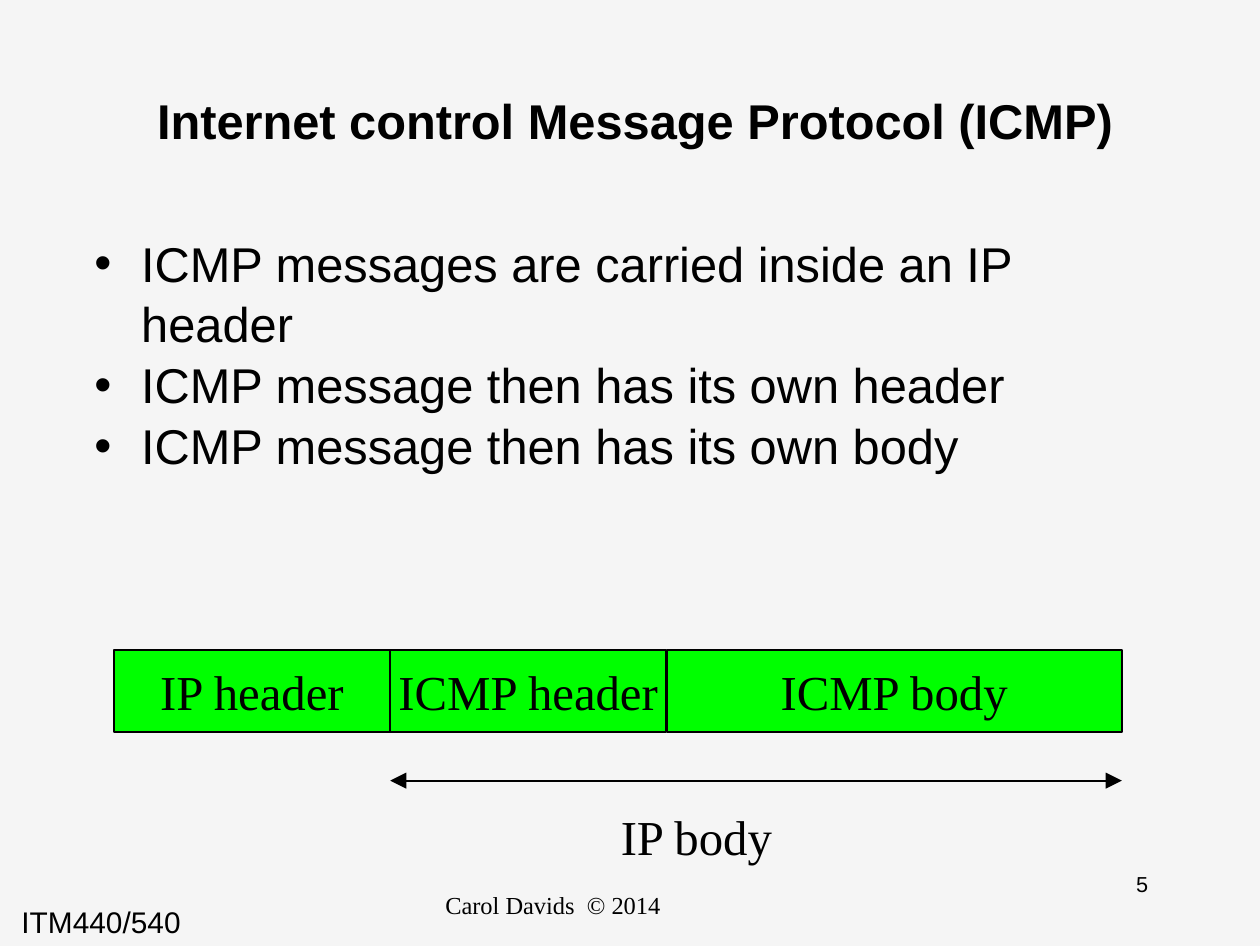
from dataclasses import dataclass

from lxml.etree import SubElement
from pptx import Presentation
from pptx.dml.color import RGBColor
from pptx.enum.shapes import MSO_CONNECTOR, MSO_SHAPE
from pptx.enum.text import MSO_ANCHOR, MSO_AUTO_SIZE, PP_ALIGN
from pptx.oxml.ns import qn
from pptx.util import Pt


@dataclass(frozen=True)
class Theme:
    background: RGBColor = RGBColor(0xF5, 0xF5, 0xF5)
    ink: RGBColor = RGBColor(0, 0, 0)
    field: RGBColor = RGBColor(0, 0xFF, 0)
    sans: str = "Arial"
    serif: str = "Times New Roman"
    main_size: float = 18
    course_size: float = 11
    credit_size: float = 9
    number_size: float = 8
    line_width: float = 0.75
    bullet_indent: float = 17.3


class SlideBuilder:
    def __init__(self, presentation, theme):
        self.theme = theme
        self.slide = presentation.slides.add_slide(presentation.slide_layouts[1])
        fill = self.slide.background.fill
        fill.solid()
        fill.fore_color.rgb = theme.background

    def place(self, shape, left, top, width, height):
        shape.left, shape.top = Pt(left), Pt(top)
        shape.width, shape.height = Pt(width), Pt(height)

    def set_text(self, shape, lines, size, font, align=PP_ALIGN.LEFT, bold=False,
                 anchor=MSO_ANCHOR.TOP, wrap=True, margins=(4.3, 2.2)):
        frame = shape.text_frame
        frame.text = "\n".join(lines)
        frame.word_wrap = wrap
        frame.auto_size = MSO_AUTO_SIZE.NONE
        frame.vertical_anchor = anchor
        frame.margin_left = frame.margin_right = Pt(margins[0])
        frame.margin_top = frame.margin_bottom = Pt(margins[1])
        for paragraph in frame.paragraphs:
            paragraph.alignment = align
            paragraph.space_before = Pt(0)
            paragraph.font.name = font
            paragraph.font.size = Pt(size)
            paragraph.font.bold = bold
            paragraph.font.color.rgb = self.theme.ink

    def title(self, text, *box):
        shape = self.slide.shapes.title
        self.place(shape, *box)
        self.set_text(shape, [text], self.theme.main_size, self.theme.sans,
                      PP_ALIGN.CENTER, bold=True, anchor=MSO_ANCHOR.MIDDLE)

    def bullets(self, lines, *box):
        shape = self.slide.placeholders[1]
        self.place(shape, *box)
        self.set_text(shape, lines, self.theme.main_size, self.theme.sans)
        indent = Pt(self.theme.bullet_indent)
        for paragraph in shape.text_frame.paragraphs:
            paragraph.line_spacing = 1.04
            properties = paragraph._p.get_or_add_pPr()
            properties.set("marL", str(indent))
            properties.set("indent", str(-indent))
            SubElement(properties, qn("a:buChar")).set("char", "•")

    def label(self, text, box, size, font, **style):
        shape = self.slide.shapes.add_textbox(*map(Pt, box))
        self.set_text(shape, [text], size, font, **style)

    def packet_field(self, text, *box):
        shape = self.slide.shapes.add_shape(MSO_SHAPE.RECTANGLE, *map(Pt, box))
        shape.shadow.inherit = False
        shape.fill.solid()
        shape.fill.fore_color.rgb = self.theme.field
        shape.line.color.rgb = self.theme.ink
        shape.line.width = Pt(self.theme.line_width)
        self.set_text(shape, [text], self.theme.main_size, self.theme.serif,
                      PP_ALIGN.CENTER, anchor=MSO_ANCHOR.MIDDLE, wrap=False,
                      margins=(7.2, 3.6))

    def double_arrow(self, *ends):
        connector = self.slide.shapes.add_connector(
            MSO_CONNECTOR.STRAIGHT, *map(Pt, ends))
        connector.line.color.rgb = self.theme.ink
        connector.line.width = Pt(self.theme.line_width)
        line = connector.line._get_or_add_ln()
        for end in ("a:headEnd", "a:tailEnd"):
            SubElement(line, qn(end)).set("type", "triangle")
        SubElement(connector._element.spPr, qn("a:effectLst"))


def main():
    theme = Theme()
    presentation = Presentation()
    presentation.slide_width, presentation.slide_height = Pt(465), Pt(349)
    builder = SlideBuilder(presentation, theme)

    builder.title("Internet control Message Protocol (ICMP)", 37, 15, 395, 58.5)
    builder.bullets([
        "ICMP messages are carried inside an IP header",
        "ICMP message then has its own header",
        "ICMP message then has its own body",
    ], 30.5, 83, 404, 108)

    packet_left, packet_top, packet_height = 42, 240, 30
    fields = [("IP header", 102), ("ICMP header", 102), ("ICMP body", 168)]
    left = packet_left
    for text, width in fields:
        builder.packet_field(text, left, packet_top, width, packet_height)
        left += width

    body_left = packet_left + fields[0][1]
    builder.double_arrow(body_left, 288, left, 288)
    builder.label("IP body", (222, 294, 70, 29), theme.main_size, theme.serif,
                  wrap=False, margins=(7.2, 3.6))

    builder.label("ITM440/540", (0, 330, 151, 21), theme.course_size,
                  theme.sans, margins=(7.9, 3.6))
    builder.label("Carol Davids  © 2014", (122.5, 326, 163, 23),
                  theme.credit_size, theme.serif, align=PP_ALIGN.CENTER)
    builder.label("5", (385, 319, 73, 23), theme.number_size, theme.sans,
                  align=PP_ALIGN.CENTER)

    presentation.save("out.pptx")


if __name__ == "__main__":
    main()
